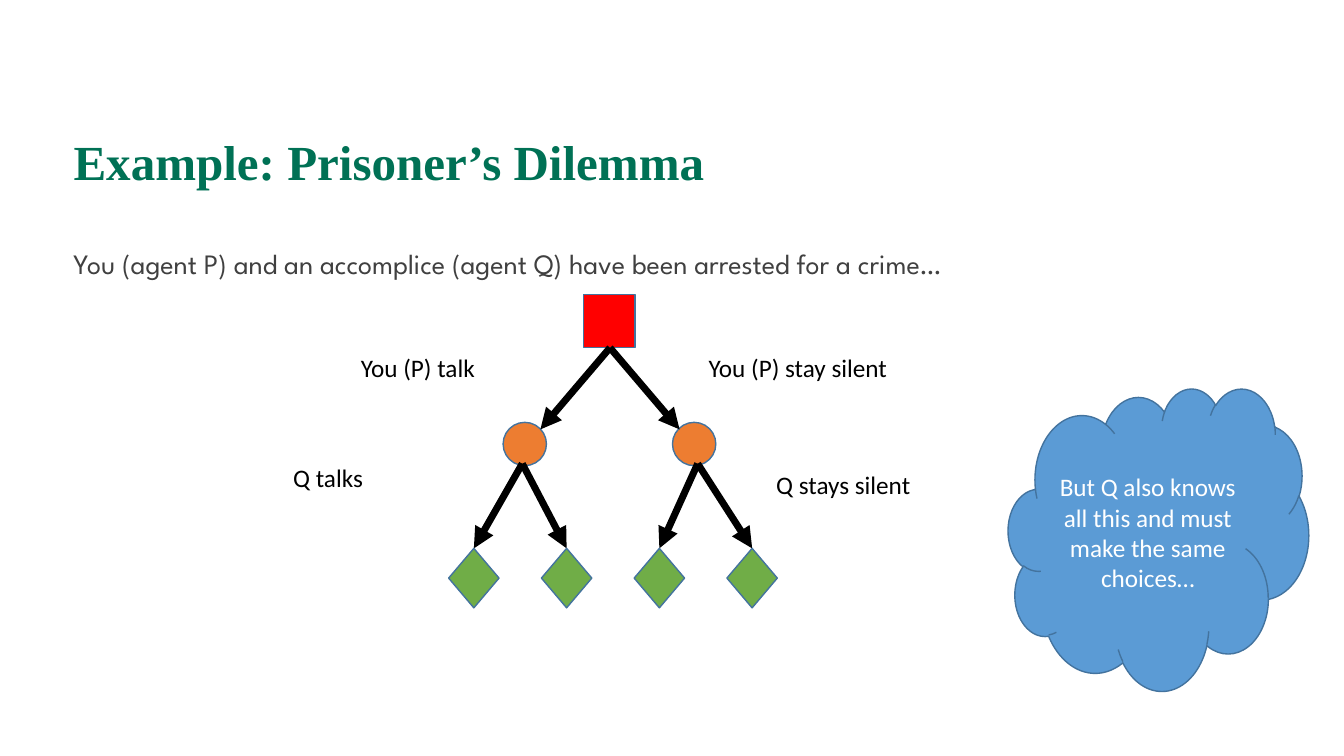
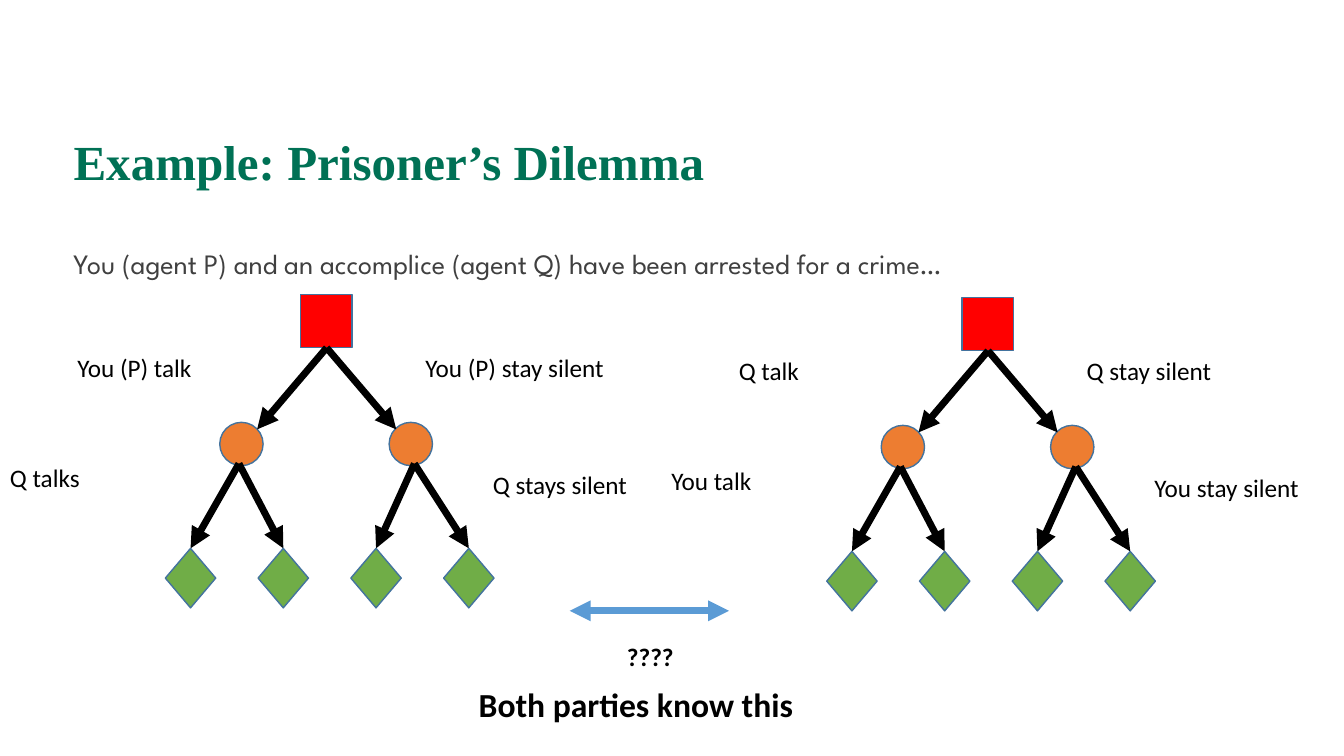
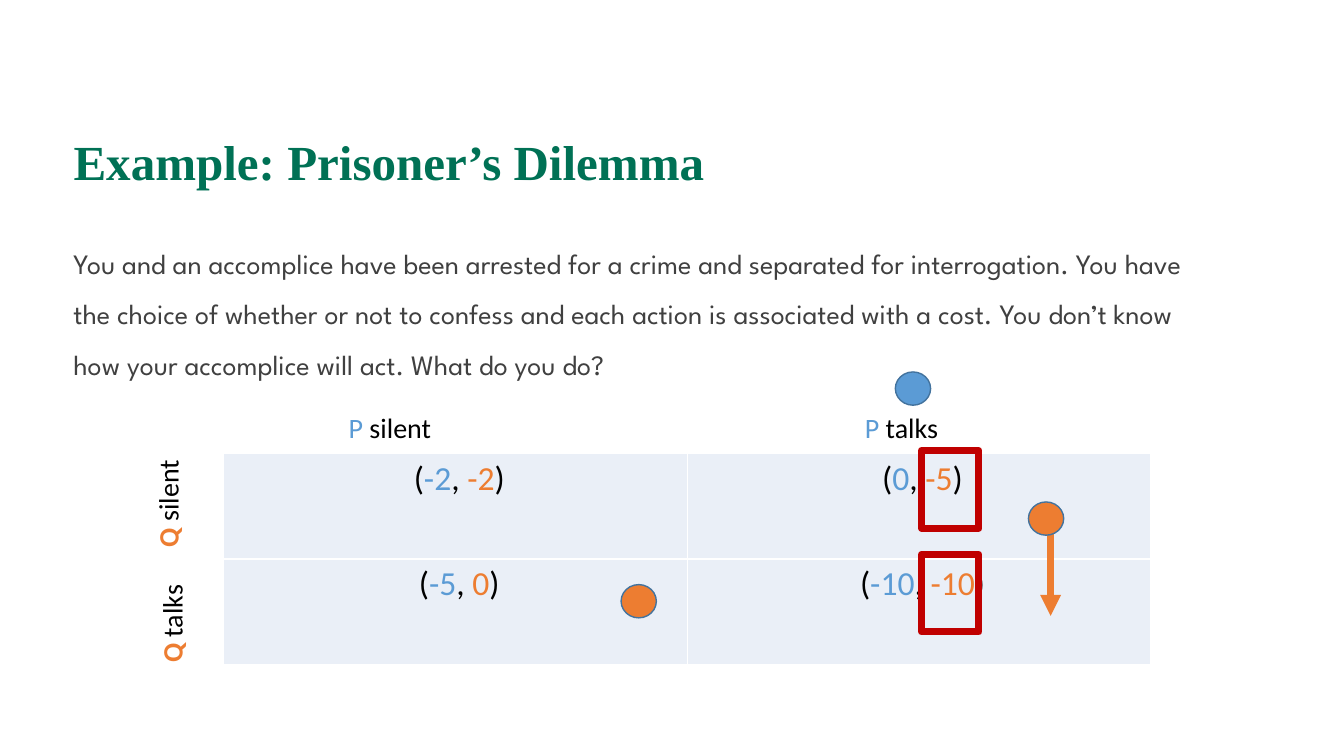
import pptx
import pptx.dml.color
import pptx.enum.shapes
import pptx.enum.text
import pptx.oxml
import pptx.oxml.ns
import pptx.util
from pptx.util import Inches
import lxml.etree

COLORS = {
    "title": "007155",
    "body": "404040",
    "black": "000000",
    "white": "FFFFFF",
    "red": "FF0000",
    "orange": "ED7D31",
    "green": "70AD47",
    "blue": "5B9BD5",
    "outline": "43739E",
    "highlight": "C00000",
    "cell": "EAEFF7",
}
SHAPES = pptx.enum.shapes.MSO_SHAPE
ALIGN = pptx.enum.text.PP_ALIGN
ANCHOR = pptx.enum.text.MSO_ANCHOR
TITLE = "Example: Prisoner’s Dilemma"
ARREST = "You (agent P) and an accomplice (agent Q) have been arrested for a crime…"
INTERROGATION = (
    "You and an accomplice have been arrested for a crime and separated for "
    "interrogation. You have the choice of whether or not to confess and each "
    "action is associated with a cost. You don’t know how your accomplice will "
    "act. What do you do?"
)


def rgb(color):
    return pptx.dml.color.RGBColor.from_string(COLORS[color])


def style_font(font, size, color="black", name="Calibri", bold=False):
    font.name = name
    font.size = pptx.util.Pt(size)
    font.bold = bold
    font.color.rgb = rgb(color)


def add_colored_runs(paragraph, runs):
    """Add (text, color) pairs to a paragraph whose font is already set."""
    for text, color in runs:
        run = paragraph.add_run()
        run.text = text
        run.font.color.rgb = rgb(color)


def add_text(slide, text, left, top, width, height, size=18, **font):
    box = slide.shapes.add_textbox(
        Inches(left), Inches(top), Inches(width), Inches(height))
    box.text_frame.word_wrap = True
    paragraph = box.text_frame.paragraphs[0]
    paragraph.text = text
    style_font(paragraph.font, size, **font)
    return box


def add_player_label(slide, player, action, color, left, top, width, vertical=False):
    """Label a row or column of the payoff table; row labels read upwards."""
    box = add_text(slide, "", left, top, width, 0.44, size=20)
    paragraph = box.text_frame.paragraphs[0]
    add_colored_runs(paragraph, [(player + " ", color), (action, "black")])
    if vertical:
        box.rotation = 270
        paragraph.runs[0].font.bold = True


def add_shape(slide, kind, left, top, width, height, fill=None, line="outline",
              line_width=1):
    shape = slide.shapes.add_shape(
        kind, Inches(left), Inches(top), Inches(width), Inches(height))
    shape.shadow.inherit = False
    if fill:
        shape.fill.solid()
        shape.fill.fore_color.rgb = rgb(fill)
    else:
        shape.fill.background()
    shape.line.color.rgb = rgb(line)
    shape.line.width = pptx.util.Pt(line_width)
    return shape


def add_arrow(slide, start, end, color="black", both_ends=False):
    connector = slide.shapes.add_connector(
        pptx.enum.shapes.MSO_CONNECTOR.STRAIGHT,
        *[Inches(value) for value in (*start, *end)])
    connector.line.color.rgb = rgb(color)
    connector.line.width = pptx.util.Pt(5)
    line = connector.line._get_or_add_ln()
    for tag in ["a:headEnd", "a:tailEnd"] if both_ends else ["a:tailEnd"]:
        lxml.etree.SubElement(line, pptx.oxml.ns.qn(tag), type="triangle")
    properties = connector._element.spPr
    lxml.etree.SubElement(properties, pptx.oxml.ns.qn("a:effectLst"))


def add_slide(presentation, body):
    slide = presentation.slides.add_slide(presentation.slide_layouts[5])
    title = slide.shapes.title
    title.left, title.top = Inches(0.63), Inches(0.91)
    title.width, title.height = Inches(11.5), Inches(1.45)
    title.text_frame.text = TITLE
    title.text_frame.vertical_anchor = ANCHOR.MIDDLE
    paragraph = title.text_frame.paragraphs[0]
    paragraph.alignment = ALIGN.LEFT
    paragraph.line_spacing = 0.9
    style_font(paragraph.font, 35, "title", "Times New Roman", bold=True)

    box = add_text(slide, body, 0.63, 2.23, 11.5, 1.6, size=20, color="body",
                   name="League Spartan")
    box.text_frame.paragraphs[0].line_spacing = 1.5
    return slide


def add_decision_tree(slide, left, top, first_moves, second_moves):
    """Draw a two-level tree; each moves pair labels its left and right branch."""
    center = left + 3.24
    add_shape(slide, SHAPES.RECTANGLE, center - 0.26, top, 0.51, 0.53, "red")
    for side in (-1, 1):
        add_shape(slide, SHAPES.OVAL, center + side * 0.84 - 0.22, top + 1.27,
                  0.43, 0.43, "orange")
        add_arrow(slide, (center, top + 0.53), (center + side * 0.69, top + 1.34))
        for leaf in (-1, 1):
            leaf_center = center + 0.03 + side * 0.92 + leaf * 0.46
            add_arrow(slide, (center + side * 0.87, top + 1.68),
                      (leaf_center, top + 2.52))
            add_shape(slide, SHAPES.DIAMOND, leaf_center - 0.25, top + 2.52,
                      0.5, 0.59, "green")
    add_text(slide, first_moves[0], left + 0.67, top + 0.53, 1.51, 0.4)
    add_text(slide, first_moves[1], left + 4.12, top + 0.53, 2, 0.4)
    add_text(slide, second_moves[0], left, top + 1.62, 1.51, 0.4)
    add_text(slide, second_moves[1], left + 4.79, top + 1.69, 1.92, 0.4)


def add_own_tree(slide, left):
    add_decision_tree(slide, left, 2.92, ("You (P) talk", "You (P) stay silent"),
                      ("Q talks", "Q stays silent"))


def set_cell_borders(cell, color, width):
    properties = cell._tc.get_or_add_tcPr()
    for position, side in enumerate(("L", "R", "T", "B")):
        border = pptx.oxml.parse_xml(
            f'<a:ln{side} {pptx.oxml.ns.nsdecls("a")} w="{pptx.util.Pt(width)}">'
            f'<a:solidFill><a:srgbClr val="{COLORS[color]}"/></a:solidFill>'
            f'</a:ln{side}>')
        properties.insert(position, border)


def add_payoff_table(slide, payoffs):
    """Draw a grid of (P cost, Q cost) pairs."""
    table = slide.shapes.add_table(
        len(payoffs), len(payoffs[0]), Inches(2.22), Inches(4.5),
        Inches(9.19), Inches(2.09)).table
    table.first_row = table.horz_banding = False
    for row, pairs in enumerate(payoffs):
        for column, (p_cost, q_cost) in enumerate(pairs):
            cell = table.cell(row, column)
            cell.fill.solid()
            cell.fill.fore_color.rgb = rgb("cell")
            set_cell_borders(cell, "white", 1)
            paragraph = cell.text_frame.paragraphs[0]
            paragraph.alignment = ALIGN.CENTER
            style_font(paragraph.font, 24)
            add_colored_runs(paragraph, [
                (" (", "black"), (p_cost, "blue"), (", ", "black"),
                (q_cost, "orange"), (")", "black")])


def build_single_tree_slide(presentation):
    slide = add_slide(presentation, ARREST)
    add_own_tree(slide, 2.81)
    cloud = add_shape(slide, SHAPES.CLOUD, 10, 3.85, 2.98, 3, "blue")
    cloud.text_frame.word_wrap = True
    cloud.text_frame.vertical_anchor = ANCHOR.MIDDLE
    paragraph = cloud.text_frame.paragraphs[0]
    paragraph.text = "But Q also knows all this and must make the same choices…"
    paragraph.alignment = ALIGN.CENTER
    style_font(paragraph.font, 18, "white")


def build_two_trees_slide(presentation):
    slide = add_slide(presentation, ARREST)
    add_own_tree(slide, 0)
    add_decision_tree(slide, 6.56, 2.95, ("Q talk", "Q stay silent"),
                      ("You talk", "You stay silent"))
    add_arrow(slide, (5.65, 6.06), (7.23, 6.06), "blue", both_ends=True)
    add_text(slide, "????", 6.12, 6.31, 0.82, 0.4, bold=True)
    add_text(slide, "Both parties know this", 4.65, 6.74, 4.73, 0.5, size=24,
             bold=True)


def build_payoff_slide(presentation):
    slide = add_slide(presentation, INTERROGATION)
    add_payoff_table(slide, [
        [("-2", "-2"), ("0", "-5")],
        [("-5", "0"), ("-10", "-10")],
    ])
    add_player_label(slide, "P", "silent", "blue", 3.36, 4.02, 2.57)
    add_player_label(slide, "P", "talks", "blue", 8.48, 4.02, 1.84)
    add_player_label(slide, "Q", "talks", "orange", 0.42, 5.17, 2.57, vertical=True)
    add_player_label(slide, "Q", "silent", "orange", 0.38, 4.02, 2.57, vertical=True)
    for top in (4.47, 5.5):
        add_shape(slide, SHAPES.RECTANGLE, 9.14, top, 0.57, 0.77,
                  line="highlight", line_width=5)
    add_arrow(slide, (10.42, 5.29), (10.42, 6.11), "orange")
    for left, top, color in ((8.88, 3.69, "blue"), (6.16, 5.8, "orange"),
                             (10.2, 4.98, "orange")):
        add_shape(slide, SHAPES.OVAL, left, top, 0.35, 0.33, color)


def main():
    presentation = pptx.Presentation()
    presentation.slide_width = Inches(13.33)
    presentation.slide_height = Inches(7.5)
    build_single_tree_slide(presentation)
    build_two_trees_slide(presentation)
    build_payoff_slide(presentation)
    presentation.save("out.pptx")


if __name__ == "__main__":
    main()
